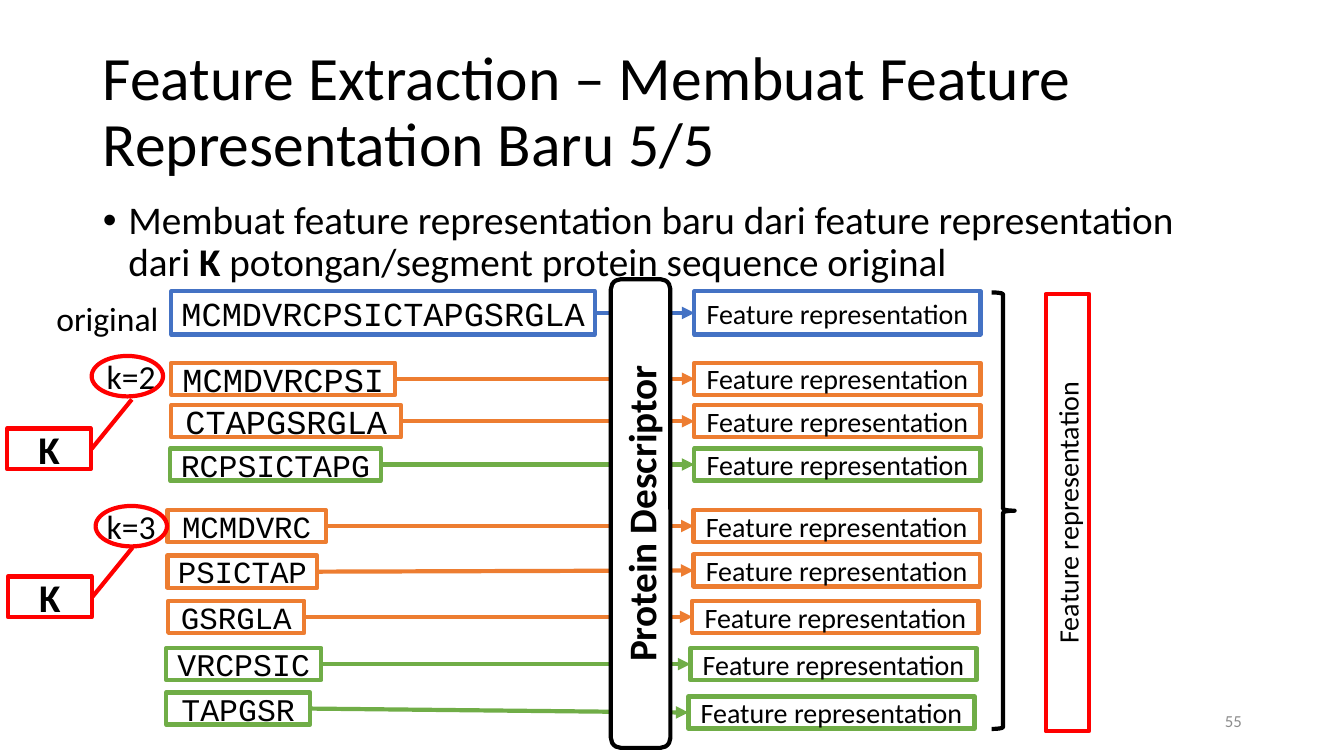
"""Build the slide on new feature representations from K protein segments."""
import dataclasses

import lxml.etree
import pptx
import pptx.dml.color
import pptx.enum.shapes
import pptx.enum.text
import pptx.oxml.ns
import pptx.util

Cm = pptx.util.Cm
Pt = pptx.util.Pt
Color = pptx.dml.color.RGBColor
Shape = pptx.enum.shapes.MSO_SHAPE
Align = pptx.enum.text.PP_ALIGN
Anchor = pptx.enum.text.MSO_ANCHOR
qn = pptx.oxml.ns.qn


@dataclasses.dataclass(frozen=True)
class Theme:
    sans: str = "Calibri"
    mono: str = "Courier New"
    black: Color = Color(0, 0, 0)
    white: Color = Color(255, 255, 255)
    gray: Color = Color(0x8C, 0x8C, 0x8C)
    blue: Color = Color(0x44, 0x72, 0xC4)
    orange: Color = Color(0xED, 0x7D, 0x31)
    green: Color = Color(0x70, 0xAD, 0x47)
    red: Color = Color(255, 0, 0)
    title: float = 44
    body: float = 28
    label: float = 24
    feature: float = 20
    number: float = 12
    line: float = 3


theme = Theme()


def write(box, text, size, align=Align.LEFT, anchor=Anchor.MIDDLE,
          font=theme.sans, color=theme.black, bold=False):
    frame = box.text_frame
    frame.word_wrap = True
    frame.vertical_anchor = anchor
    para = frame.paragraphs[0]
    para.text = text
    para.alignment = align
    para.font.name = font
    para.font.size = Pt(size)
    para.font.bold = bold
    para.font.color.rgb = color
    return para


def add_outlined(kind, left, top, width, height, color, filled=True):
    shape = page.shapes.add_shape(kind, Cm(left), Cm(top), Cm(width), Cm(height))
    shape.shadow.inherit = False
    if filled:
        shape.fill.solid()
        shape.fill.fore_color.rgb = theme.white
    else:
        shape.fill.background()
    shape.line.color.rgb = color
    shape.line.width = Pt(theme.line)
    return shape


deck = pptx.Presentation()
deck.slide_width = Cm(33.87)
deck.slide_height = Cm(19.05)
page = deck.slides.add_slide(deck.slide_layouts[1])

title, body = page.placeholders
title.left, title.top, title.width, title.height = Cm(2.34), Cm(1.02), Cm(29.21), Cm(3.68)
para = write(title, "Feature Extraction – Membuat Feature Representation Baru 5/5", theme.title)
para.line_spacing = 0.9

body.left, body.top, body.width, body.height = Cm(2.34), Cm(4.93), Cm(29.21), Cm(12.09)
para = body.text_frame.paragraphs[0]
properties = para._p.get_or_add_pPr()
properties.set("marL", str(Cm(0.64)))
properties.set("indent", str(Cm(-0.64)))
lxml.etree.SubElement(properties, qn("a:buChar")).set("char", "•")
write(body, "", theme.body, anchor=Anchor.TOP)
para.line_spacing = 0.9
para.space_before = Pt(0)
for text, bold in (
    ("Membuat feature representation baru dari feature representation dari ", False),
    ("K ", True),
    ("potongan/segment protein sequence original", False),
):
    span = para.add_run()
    span.text = text
    span.font.bold = bold

rows = (
    ("MCMDVRCPSICTAPGSRGLA", 24, theme.blue, 4.32, 7.34, 10.67, 1.09, 17.5, 7.34),
    ("MCMDVRCPSI", 24, theme.orange, 4.32, 9.14, 5.64, 0.81, 17.5, 9.14),
    ("CTAPGSRGLA", 24, theme.orange, 4.32, 10.21, 5.79, 0.81, 17.5, 10.21),
    ("RCPSICTAPG", 22.5, theme.green, 4.29, 11.3, 5.31, 0.81, 17.5, 11.3),
    ("MCMDVRC", 22, theme.orange, 4.22, 12.85, 3.99, 0.81, 17.48, 12.85),
    ("PSICTAP", 22, theme.orange, 4.22, 14, 3.78, 0.81, 17.48, 13.97),
    ("GSRGLA", 22, theme.orange, 4.24, 15.14, 3.43, 0.81, 17.45, 15.14),
    ("VRCPSIC", 22.5, theme.green, 4.19, 16.33, 3.91, 0.81, 17.4, 16.33),
    ("TAPGSR", 22.5, theme.green, 4.19, 17.45, 3.63, 0.81, 17.35, 17.55),
)
for text, size, color, left, top, width, height, feature_left, feature_top in rows:
    sequence = add_outlined(Shape.RECTANGLE, left, top, width, height, color)
    sequence.text_frame.margin_left = sequence.text_frame.margin_right = Cm(0.1)
    write(sequence, text, size, Align.CENTER, font=theme.mono)
    feature = add_outlined(Shape.RECTANGLE, feature_left, feature_top, 7.21, height, color)
    write(feature, "Feature representation", theme.feature, Align.CENTER)
    arrow = page.shapes.add_connector(pptx.enum.shapes.MSO_CONNECTOR.STRAIGHT, 0, 0, 0, 0)
    arrow.begin_connect(sequence, 3)
    arrow.end_connect(feature, 1)
    arrow.line.color.rgb = color
    arrow.line.width = Pt(theme.line)
    lxml.etree.SubElement(arrow.line._get_or_add_ln(), qn("a:tailEnd")).set("type", "triangle")
    lxml.etree.SubElement(arrow._element.spPr, qn("a:effectLst"))

for text, left, top, width in (
    ("original", 1.17, 7.37, 3.1),
    ("k=2", 2.44, 8.84, 1.75),
    ("k=3", 2.44, 12.62, 1.75),
):
    label = page.shapes.add_textbox(Cm(left), Cm(top), Cm(width), Cm(1.27))
    write(label, text, theme.label, anchor=Anchor.TOP)
    label.text_frame.word_wrap = False

brace = add_outlined(Shape.RIGHT_BRACE, 24.99, 7.37, 0.58, 11, theme.black, filled=False)
brace.adjustments[0] = 0.08
brace.adjustments[1] = 0.5

combined = add_outlined(Shape.RECTANGLE, 21.39, 12.37, 11.02, 1.09, theme.red)
write(combined, "Feature representation", theme.feature, Align.CENTER)
descriptor = add_outlined(Shape.ROUNDED_RECTANGLE, 10.24, 12.19, 11.81, 1.5, theme.black)
write(descriptor, "Protein Descriptor", theme.body, Align.CENTER, bold=True)
combined.rotation = descriptor.rotation = 270

for callout_left, callout_top, ring_left, ring_top in (
    (0.18, 10.8, 2.31, 8.97),
    (0.2, 14.53, 2.41, 12.75),
):
    callout = add_outlined(Shape.LINE_CALLOUT_1, callout_left, callout_top, 2.11, 1.02, theme.red)
    for index, value in enumerate((0.5, 1.01, -0.72, 1.49)):
        callout.adjustments[index] = value
    write(callout, "K", theme.body, Align.CENTER, bold=True)
    add_outlined(Shape.OVAL, ring_left, ring_top, 1.8, 1.02, theme.red, filled=False)

number = page.shapes.add_textbox(Cm(23.93), Cm(17.65), Cm(7.62), Cm(1.02))
write(number, "55", theme.number, Align.RIGHT, color=theme.gray)

deck.save("out.pptx")
